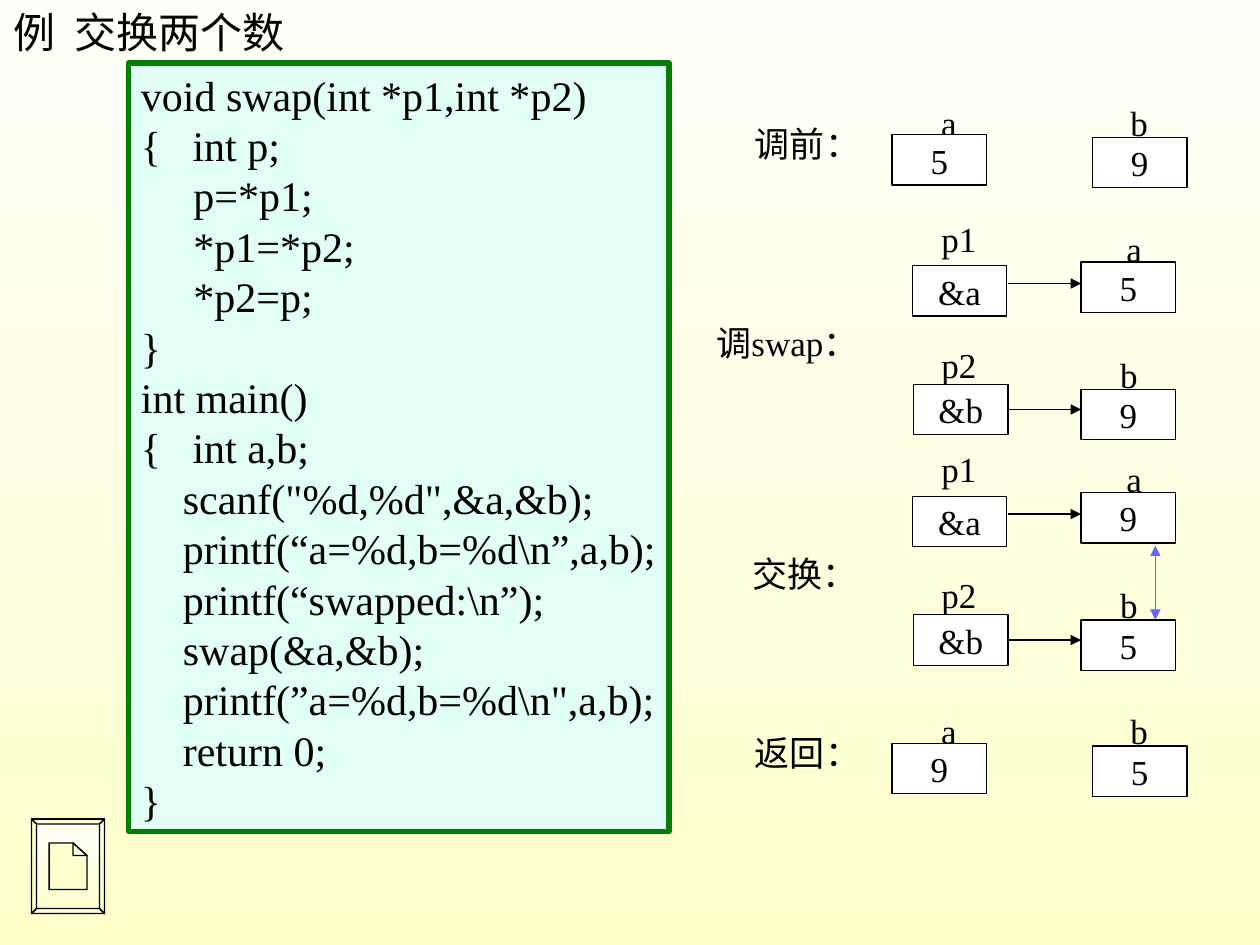
import pptx
import pptx.dml.color
import pptx.enum.shapes
import pptx.enum.text
import pptx.oxml.ns
import pptx.util

Inches = pptx.util.Inches
Pt = pptx.util.Pt
ALIGN = pptx.enum.text.PP_ALIGN
ANCHOR = pptx.enum.text.MSO_ANCHOR
AUTO = pptx.enum.text.MSO_AUTO_SIZE

COLORS = {
    "ink": "000000", "white": "FFFFFF", "code": "E1FFF7", "frame": "008000",
    "swap": "6666FF", "top": "FFFFFA", "bottom": "FFFFCC",
}

CODE = r'''void swap(int *p1,int *p2)
{   int p;
     p=*p1;
     *p1=*p2;
     *p2=p;
}
int main()
{   int a,b;
    scanf("%d,%d",&a,&b);
    printf(“a=%d,b=%d\n”,a,b);
    printf(“swapped:\n”);
    swap(&a,&b);
    printf(”a=%d,b=%d\n",a,b);
    return 0;
}'''


def rgb(name):
    return pptx.dml.color.RGBColor.from_string(COLORS[name])


class Board:
    """The current slide, the shapes being filled and the shared style."""
    font = "Times New Roman"
    size = 20
    box_w, box_h, label_h = 0.75, 0.4, 0.44

    def __init__(self, slide):
        self.slide = slide
        self.shapes = slide.shapes

    def start_group(self):
        self.shapes = self.slide.shapes.add_group_shape().shapes

    def gradient(self, fill):
        fill.gradient()
        fill.gradient_angle = 270
        for stop, name in zip(fill.gradient_stops, ("top", "bottom")):
            stop.color.rgb = rgb(name)

    def put_text(self, s, text, size=size, align=ALIGN.CENTER,
                 anchor=ANCHOR.MIDDLE, auto_size=AUTO.SHAPE_TO_FIT_TEXT):
        tf = s.text_frame
        tf.word_wrap = False
        tf.auto_size = auto_size
        tf.vertical_anchor = anchor
        for i, line in enumerate(text.split("\n")):
            p = tf.paragraphs[0] if i == 0 else tf.add_paragraph()
            p.alignment = align
            r = p.add_run()
            r.text = line
            r.font.name = self.font
            r.font.size = Pt(size)
            r.font.color.rgb = rgb("ink")

    def outline(self, s, color="ink", width=0.75):
        s.shadow.inherit = False
        s.line.color.rgb = rgb(color)
        s.line.width = Pt(width)

    def title(self, text):
        s = self.slide.shapes.title
        s.left, s.top = Inches(0.01), Inches(0)
        s.width, s.height = Inches(2.35), Inches(0.5)
        self.put_text(s, text, 24, ALIGN.LEFT, ANCHOR.TOP)

    def rect(self, x, y, w, h, fill):
        s = self.shapes.add_shape(pptx.enum.shapes.MSO_SHAPE.RECTANGLE,
                                  Inches(x), Inches(y), Inches(w), Inches(h))
        s.fill.solid()
        s.fill.fore_color.rgb = rgb(fill)
        return s

    def code(self, x, y, w, h, text):
        s = self.rect(x, y, w, h, "code")
        self.outline(s, "frame", 3)
        self.put_text(s, text, 24, ALIGN.LEFT, ANCHOR.TOP)

    def cell(self, x, y, text):
        """A memory cell showing its value."""
        s = self.rect(x, y, self.box_w, self.box_h, "white")
        self.outline(s)
        self.put_text(s, text, auto_size=AUTO.NONE)

    def label(self, center, y, text, w):
        s = self.shapes.add_textbox(Inches(center - w / 2), Inches(y),
                                    Inches(w), Inches(self.label_h))
        self.put_text(s, text)

    def arrow(self, x1, y1, x2, y2, color="ink", ends=("tailEnd",)):
        s = self.shapes.add_connector(
            pptx.enum.shapes.MSO_CONNECTOR.STRAIGHT,
            Inches(x1), Inches(y1), Inches(x2), Inches(y2))
        s.line.color.rgb = rgb(color)
        s.line.width = Pt(0.75)
        qn = pptx.oxml.ns.qn
        ln = s.get_or_add_ln()
        for end in ends:
            ln.append(ln.makeelement(qn("a:" + end), {"type": "triangle"}))
        sp_pr = s.element.spPr
        sp_pr.append(sp_pr.makeelement(qn("a:effectLst")))

    def document_button(self, x1, y1, x2, y2, bevel):
        outer = [(x1, y1), (x2, y1), (x2, y2), (x1, y2)]
        inner = [(x1 + bevel, y1 + bevel), (x2 - bevel, y1 + bevel),
                 (x2 - bevel, y2 - bevel), (x1 + bevel, y2 - bevel)]
        contours = [outer]
        for i in range(4):
            j = (i + 1) % 4
            contours.append([outer[i], outer[j], inner[j], inner[i]])
        contours.append([(0.39, 6.69), (0.58, 6.69), (0.69, 6.79),
                         (0.69, 7.06), (0.39, 7.06)])
        contours.append([(0.58, 6.69), (0.69, 6.79), (0.58, 6.79)])
        builder = self.shapes.build_freeform(Inches(x1), Inches(y1))
        for i, contour in enumerate(contours):
            points = [(Inches(x), Inches(y)) for x, y in contour]
            if i:
                builder.move_to(*points[0])
            builder.add_line_segments(points[1:], close=True)
        s = builder.convert_to_shape()
        self.gradient(s.fill)
        self.outline(s)

    def values_stage(self, y, caption, a, b):
        """Variables a and b side by side, outside the call."""
        self.start_group()
        self.label(7.53, y, "a", 0.32)
        self.cell(7.08, y + 0.32, a)
        self.cell(8.67, y + 0.34, b)
        self.label(9.04, y, "b", 0.34)
        self.label(6.27, y + 0.17, caption, 1.03)

    def pointers_stage(self, y, caption, caption_w, a, b):
        """Pointers p1 and p2 with the variables they point to."""
        self.start_group()
        self.label(6.25, y + 0.83, caption, caption_w)
        rows = [("p1", "a", a, 0, 7.24, 0.44, 9.0, 0.32, 0.41),
                ("p2", "b", b, 1, 7.25, 0.38, 8.96, 0.34, 0.42)]
        for pointer, name, value, dy, x, cell_dy, center, w, value_dy in rows:
            top = y + dy
            self.label(center, top + 0.08, name, w)
            self.cell(8.58, top + value_dy, value)
            self.label(7.61, top, pointer, 0.48)
            self.cell(x, top + cell_dy, "&" + name)
            self.arrow(8, top + 0.58, 8.58, top + 0.58)


def main():
    prs = pptx.Presentation()
    prs.slide_width, prs.slide_height = Inches(10), Inches(7.5)
    board = Board(prs.slides.add_slide(prs.slide_layouts[5]))
    board.gradient(board.slide.background.fill)

    board.title("例  交换两个数")
    board.code(1.02, 0.5, 4.29, 6.1, CODE)
    board.document_button(0.25, 6.5, 0.83, 7.25, 0.04)

    board.values_stage(0.75, "调前：", "5", "9")
    board.pointers_stage(1.67, "调swap：", 1.46, "5", "9")
    board.pointers_stage(3.5, "交换：", 1.03, "9", "5")
    board.arrow(9.17, 4.33, 9.17, 4.92, "swap", ("headEnd", "tailEnd"))
    board.values_stage(5.58, "返回：", "9", "5")

    prs.save("out.pptx")


if __name__ == "__main__":
    main()
